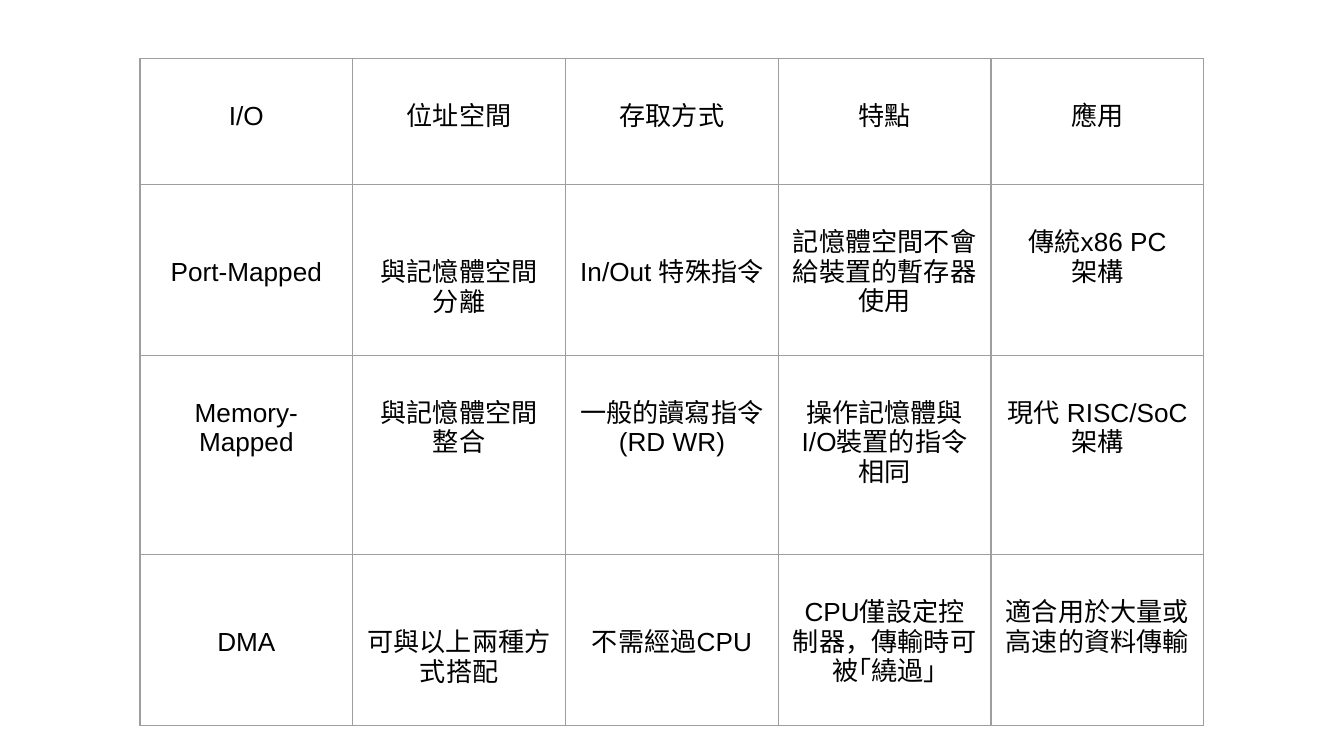
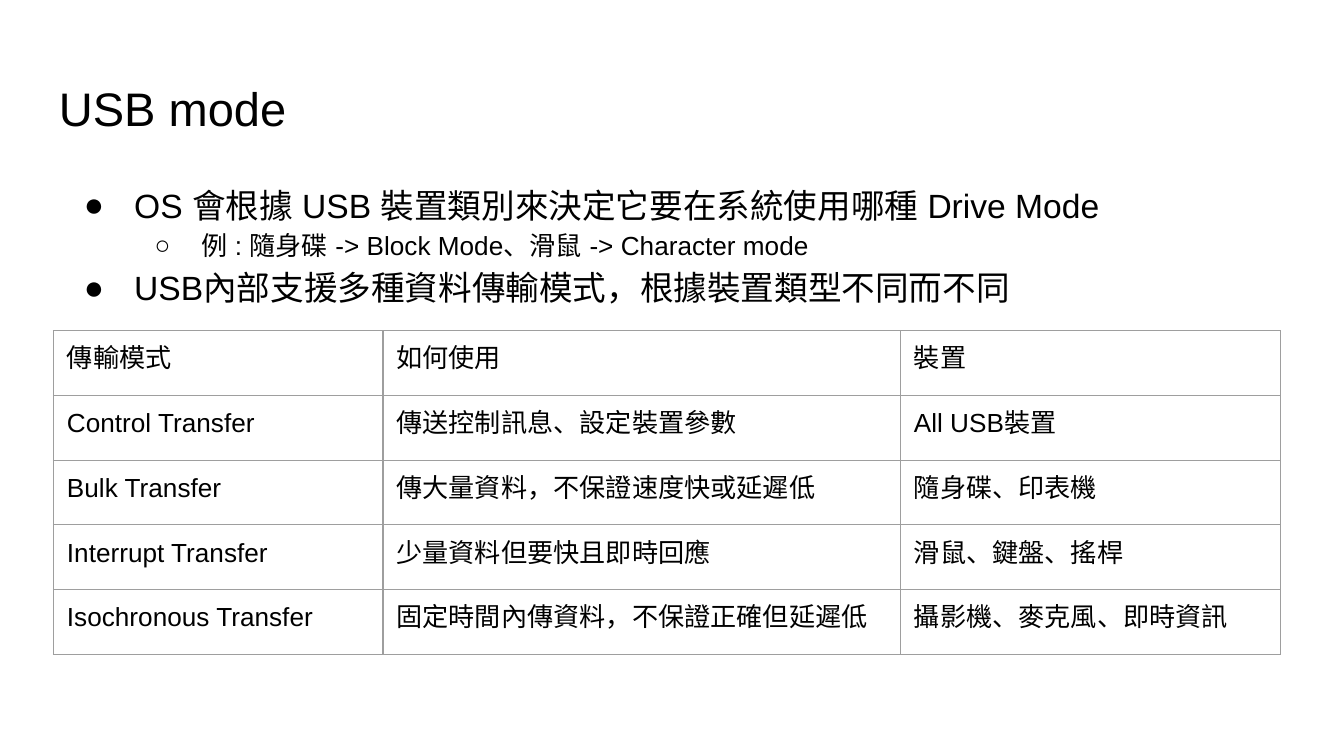
from dataclasses import dataclass

from lxml import etree
from pptx import Presentation
from pptx.dml.color import RGBColor
from pptx.enum.text import MSO_ANCHOR, PP_ALIGN
from pptx.oxml.ns import qn
from pptx.util import Pt

BLACK = RGBColor(0x00, 0x00, 0x00)
GREY = RGBColor(0x9E, 0x9E, 0x9E)
FONT = "Arial"
LEFT, CENTER = PP_ALIGN.LEFT, PP_ALIGN.CENTER
TOP = MSO_ANCHOR.TOP

INSET = 7.2
CELL_SIZE = 14
CELL_LINE = 16.1  # height of one line of cell text


@dataclass
class Grid:
    """A table; leads holds the lines left free above the text of each cell."""
    left: float
    top: float
    widths: list[float]
    heights: list[float]
    cells: list[list[str]]
    leads: list[list[int]]
    align: PP_ALIGN = LEFT


@dataclass
class Bullet:
    text: str
    size: float
    level: int
    mark: str
    hang: float


IO_GRID = Grid(
    left=75, top=31.4, widths=[114] * 5, heights=[67.5, 91.5, 106.75, 91.5],
    cells=[
        ["I/O", "位址空間", "存取方式", "特點", "應用"],
        ["Port-Mapped", "與記憶體空間\n分離", "In/Out 特殊指令",
         "記憶體空間不會給裝置的暫存器使用", "傳統x86 PC\n架構"],
        ["Memory-\nMapped", "與記憶體空間\n整合", "一般的讀寫指令\n(RD WR)",
         "操作記憶體與I/O裝置的指令相同", "現代 RISC/SoC架構"],
        ["DMA", "可與以上兩種方式搭配", "不需經過CPU",
         "CPU僅設定控制器，傳輸時可被｢繞過｣", "適合用於大量或高速的資料傳輸"],
    ],
    leads=[[1] * 5, [2, 2, 2, 1, 1], [1] * 5, [2, 2, 2, 1, 1]],
    align=CENTER,
)

USB_GRID = Grid(
    left=28.7, top=177.1, widths=[176.5, 277.2, 203.6], heights=[34.7] * 5,
    cells=[
        ["傳輸模式", "如何使用", "裝置"],
        ["Control Transfer", "傳送控制訊息、設定裝置參數", "All USB裝置"],
        ["Bulk Transfer", "傳大量資料，不保證速度快或延遲低", "隨身碟、印表機"],
        ["Interrupt Transfer", "少量資料但要快且即時回應", "滑鼠、鍵盤、搖桿"],
        ["Isochronous Transfer", "固定時間內傳資料，不保證正確但延遲低",
         "攝影機、麥克風、即時資訊"],
    ],
    leads=[[0] * 3] * 5,
)

USB_BULLETS = [
    Bullet("OS 會根據 USB 裝置類別來決定它要在系統使用哪種 Drive Mode", 18, 0, "●", 27),
    Bullet("例 : 隨身碟 -> Block Mode、滑鼠 -> Character mode", 14, 1, "○", 25),
    Bullet("USB內部支援多種資料傳輸模式，根據裝置類型不同而不同", 18, 0, "●", 27),
]


def write(p, text: str, *, size: float, align: PP_ALIGN = LEFT,
          spacing: float = 1.0) -> None:
    """Put formatted text in a paragraph."""
    p.alignment = align
    p.line_spacing = spacing
    r = p.add_run()
    r.text = text
    r.font.size = Pt(size)
    r.font.color.rgb = BLACK
    r.font.name = FONT
    etree.SubElement(r.font._element, qn("a:ea"), typeface=FONT)


def add_box(s, left: float, top: float, width: float, height: float):
    """Add an empty wrapping text box and return its text frame."""
    tf = s.shapes.add_textbox(Pt(left), Pt(top), Pt(width), Pt(height)).text_frame
    tf.word_wrap = True
    tf.vertical_anchor = TOP
    tf.margin_left = tf.margin_right = tf.margin_top = tf.margin_bottom = Pt(INSET)
    return tf


def add_bullets(tf, bullets: list[Bullet]) -> None:
    for i, b in enumerate(bullets):
        p = tf.add_paragraph() if i else tf.paragraphs[0]
        write(p, b.text, size=b.size, spacing=1.15)
        p.level = b.level
        pPr = p._p.get_or_add_pPr()
        pPr.set("marL", str(Pt(36 * (b.level + 1))))
        pPr.set("indent", str(-Pt(b.hang)))
        color = etree.SubElement(pPr, qn("a:buClr"))
        etree.SubElement(color, qn("a:srgbClr"), val=str(BLACK))
        etree.SubElement(pPr, qn("a:buFont"), typeface=FONT)
        etree.SubElement(pPr, qn("a:buChar"), char=b.mark)


def add_borders(cell) -> None:
    tcPr = cell._tc.get_or_add_tcPr()
    for side in ("lnL", "lnR", "lnT", "lnB"):
        ln = etree.SubElement(tcPr, qn(f"a:{side}"), w=str(Pt(0.75)))
        fill = etree.SubElement(ln, qn("a:solidFill"))
        etree.SubElement(fill, qn("a:srgbClr"), val=str(GREY))


def add_grid(s, grid: Grid) -> None:
    table = s.shapes.add_table(
        len(grid.heights), len(grid.widths), Pt(grid.left), Pt(grid.top),
        Pt(sum(grid.widths)), Pt(sum(grid.heights))).table
    table.first_row = table.horz_banding = False
    for column, width in zip(table.columns, grid.widths):
        column.width = Pt(width)
    for row, height, texts, leads in zip(table.rows, grid.heights, grid.cells, grid.leads):
        row.height = Pt(height)
        for cell, text, lead in zip(row.cells, texts, leads):
            add_borders(cell)
            cell.fill.background()
            cell.vertical_anchor = TOP
            cell.margin_left = cell.margin_right = cell.margin_bottom = Pt(INSET)
            cell.margin_top = Pt(INSET + lead * CELL_LINE)
            tf = cell.text_frame
            for i, line in enumerate(text.split("\n")):
                p = tf.add_paragraph() if i else tf.paragraphs[0]
                write(p, line, size=CELL_SIZE, align=grid.align)


def main() -> None:
    prs = Presentation()
    prs.slide_width, prs.slide_height = Pt(720), Pt(405)
    blank = prs.slide_layouts[6]

    # Comparison of I/O methods
    s = prs.slides.add_slide(blank)
    add_grid(s, IO_GRID)

    # USB transfer modes
    s = prs.slides.add_slide(blank)
    title = add_box(s, 24.5, 35.3, 671, 45.4)
    write(title.paragraphs[0], "USB mode", size=25.2)
    add_bullets(add_box(s, 28.8, 88.6, 671, 269.3), USB_BULLETS)
    add_grid(s, USB_GRID)

    prs.save("out.pptx")


if __name__ == "__main__":
    main()
